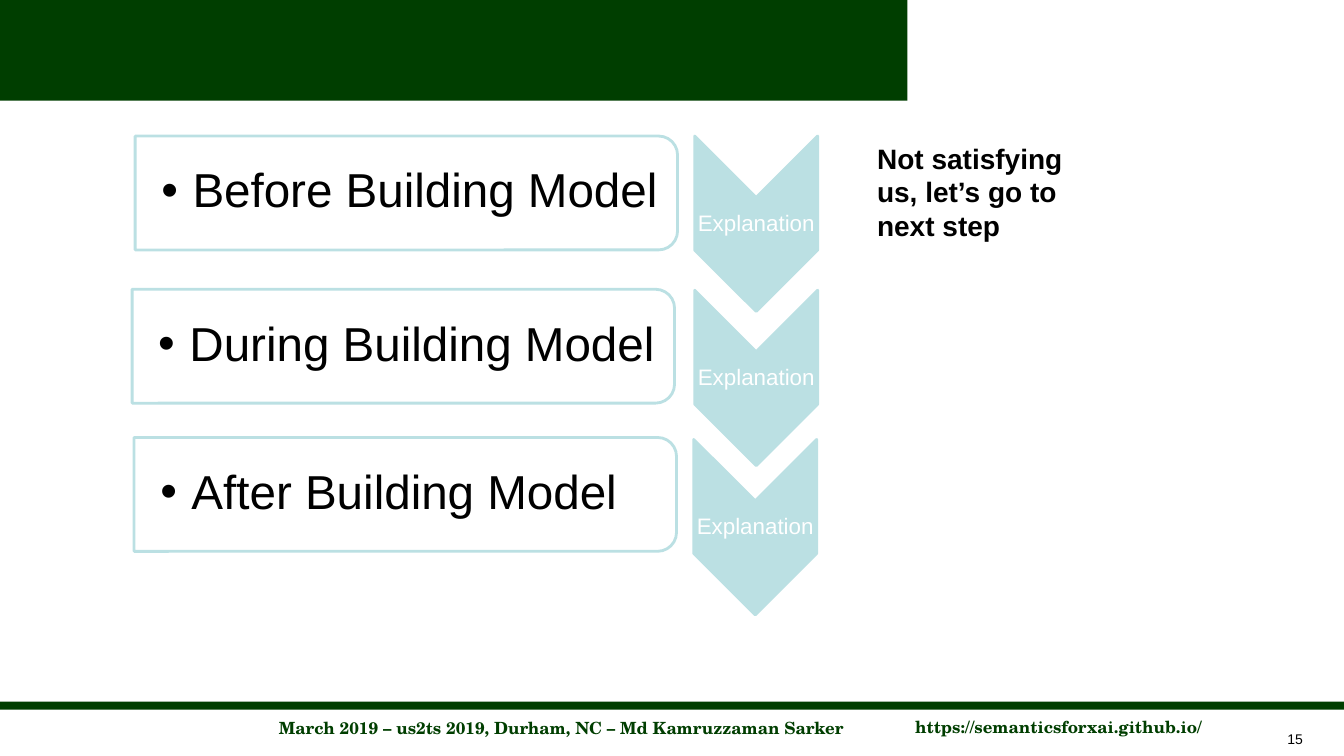
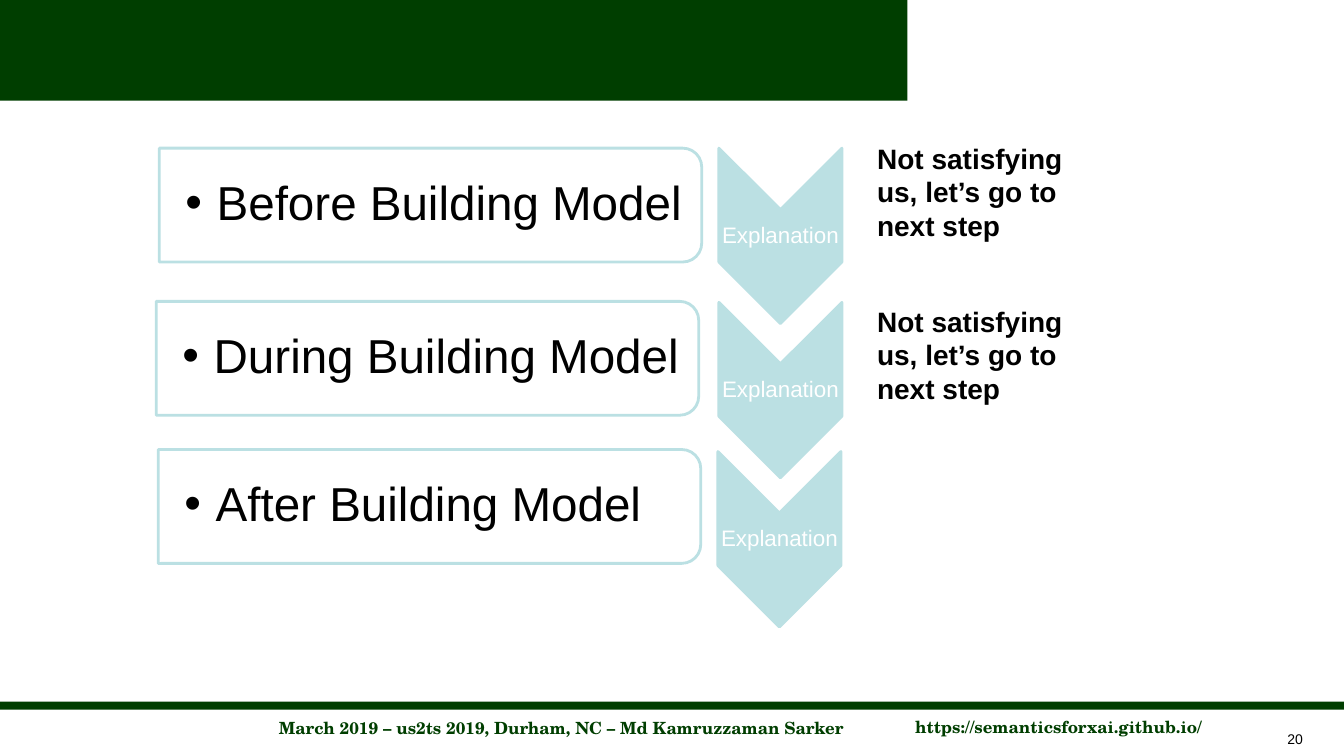
from dataclasses import dataclass

from lxml import etree
from pptx import Presentation
from pptx import util as u
from pptx.dml.color import RGBColor
from pptx.enum import shapes, text
from pptx.oxml.ns import qn

SCALE = 9144  # EMU in one px, 100 px to the inch
PAGE_W, PAGE_H = 1333, 750


@dataclass(frozen=True)
class Theme:
    green: str = "003E00"
    aqua: str = "BBE0E3"
    white: str = "FFFFFF"
    black: str = "000000"
    sans: str = "Arial"
    serif: str = "TeX Gyre Schola"
    step_size: int = 34
    note_size: int = 20
    label_size: int = 16
    footer_size: int = 12
    number_size: int = 10
    outline: int = 2


THEME = Theme()
FOOTERS = [
    ("March 2019 – us2ts 2019, Durham, NC – Md Kamruzzaman Sarker", (146, 707, 822, 30)),
    ("https://semanticsforxai.github.io/", (867, 706, 366, 30)),
]
# Each step: wording, panel offset, chevron offset
STEPS = [
    ("Before Building Model", (0, 0), (555, 0)),
    ("During Building Model", (-3, 152), (555, 153)),
    ("After Building Model", (-1, 299), (554, 301)),
]
NOTE = "Not satisfying us, let’s go to next step"
# Each page: number, corner of the steps, tops of the notes
PAGES = [(15, (134, 135), [135]), (20, (158, 147), [135, 297])]


def px(*lengths):
    return [u.Emu(round(length * SCALE)) for length in lengths]


def add_block(page, kind, box, fill, outline=None):
    shape = page.shapes.add_shape(kind, *px(*box))
    shape.shadow.inherit = False
    shape.fill.solid()
    shape.fill.fore_color.rgb = RGBColor.from_string(fill)
    if outline:
        shape.line.color.rgb = RGBColor.from_string(outline)
        shape.line.width = u.Pt(THEME.outline)
        etree.SubElement(shape.line._get_or_add_ln(), qn("a:round"))
    else:
        shape.line.fill.background()
    return shape


def add_turned(page, kind, box, fill):
    """Place a shape turned by 90 degrees so that it fills the box as seen."""
    left, top, width, height = box
    shift = (width - height) / 2
    turned = (left + shift, top - shift, height, width)
    shape = add_block(page, kind, turned, fill, THEME.aqua)
    shape.rotation = 90
    return shape


def write(shape, words, size, color, font=THEME.sans, bold=False, align=None,
          insets=None, middle=False, spacing=None, hang=0):
    frame = shape.text_frame
    frame.word_wrap = True
    frame.vertical_anchor = text.MSO_ANCHOR.MIDDLE if middle else text.MSO_ANCHOR.TOP
    if insets:
        (frame.margin_left, frame.margin_top,
         frame.margin_right, frame.margin_bottom) = px(*insets)
    para = frame.paragraphs[0]
    para.text = words
    para.alignment = align or text.PP_ALIGN.LEFT
    if spacing:
        para.line_spacing = spacing
    if hang:
        props = para._p.get_or_add_pPr()
        props.set("marL", str(hang * SCALE))
        props.set("indent", str(-hang * SCALE))
        etree.SubElement(props, qn("a:buFont"), typeface=THEME.sans)
        etree.SubElement(props, qn("a:buChar"), char="•")
    para.font.name = font
    para.font.size = u.Pt(size)
    para.font.bold = bold
    para.font.color.rgb = RGBColor.from_string(color)


def add_words(page, box, *args, **options):
    write(page.shapes.add_textbox(*px(*box)), *args, **options)


def add_frame(page, number):
    """Footer, bands and page number shared by all pages."""
    rectangle = shapes.MSO_SHAPE.RECTANGLE
    for words, box in FOOTERS:
        footer = add_block(page, rectangle, box, THEME.white)
        write(footer, words, THEME.footer_size, THEME.green, THEME.serif,
              bold=True, align=text.PP_ALIGN.CENTER)
        footer.text_frame.auto_size = text.MSO_AUTO_SIZE.SHAPE_TO_FIT_TEXT
    for band in [(0, 696, PAGE_W, 8), (0, 0, 900, 100)]:
        add_block(page, rectangle, band, THEME.green)
    add_words(page, (1267, 720, 66, 25), str(number), THEME.number_size, THEME.black)


def add_chevron(page, left, top):
    width, height = 122, 174
    add_turned(page, shapes.MSO_SHAPE.CHEVRON, (left, top, width, height), THEME.aqua)
    add_words(page, (left, top + 61, width, 52), "Explanation", THEME.label_size,
              THEME.white, align=text.PP_ALIGN.CENTER, insets=(1, 1, 1, 1),
              middle=True, spacing=0.9)


def add_panel(page, left, top, words):
    width, height = 538, 113
    panel = add_turned(page, shapes.MSO_SHAPE.ROUND_2_SAME_RECTANGLE,
                       (left, top, width, height), THEME.white)
    # Slightly see-through fill
    color = panel._element.spPr.find(qn("a:solidFill"))[0]
    etree.SubElement(color, qn("a:alpha"), val="90000")
    add_words(page, (left, top + 5, width - 5, height - 11), words, THEME.step_size,
              THEME.black, insets=(26, 2, 2, 2), middle=True, spacing=0.9, hang=31)


def add_steps(page, left, top):
    for words, (panel_x, panel_y), (chevron_x, chevron_y) in STEPS:
        add_chevron(page, left + chevron_x, top + chevron_y)
        add_panel(page, left + panel_x, top + panel_y, words)


def add_notes(page, left, tops):
    for top in tops:
        add_words(page, (left, top, 222, 109), NOTE, THEME.note_size, THEME.black, bold=True)


def main():
    deck = Presentation()
    deck.slide_width, deck.slide_height = px(PAGE_W, PAGE_H)
    for number, corner, note_tops in PAGES:
        page = deck.slides.add_slide(deck.slide_layouts[6])
        add_frame(page, number)
        add_steps(page, *corner)
        add_notes(page, 860, note_tops)
    deck.save("out.pptx")


if __name__ == "__main__":
    main()
